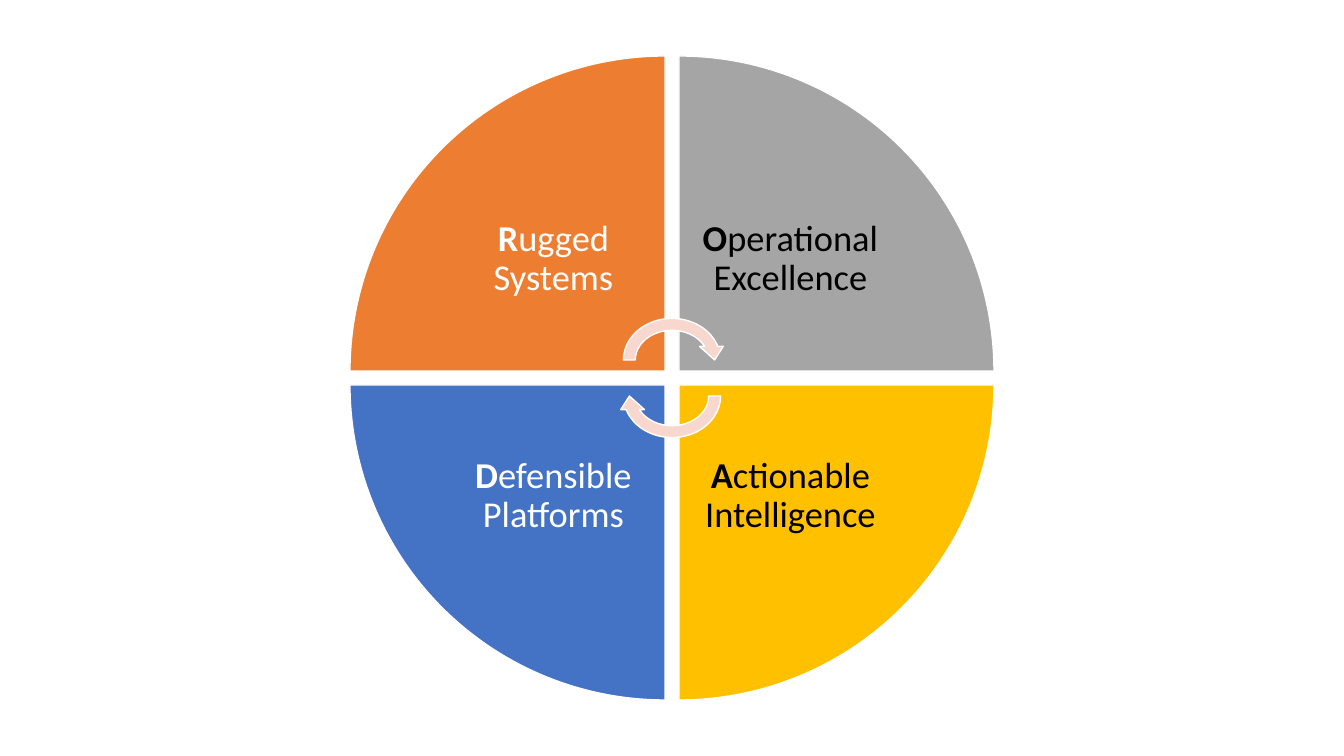
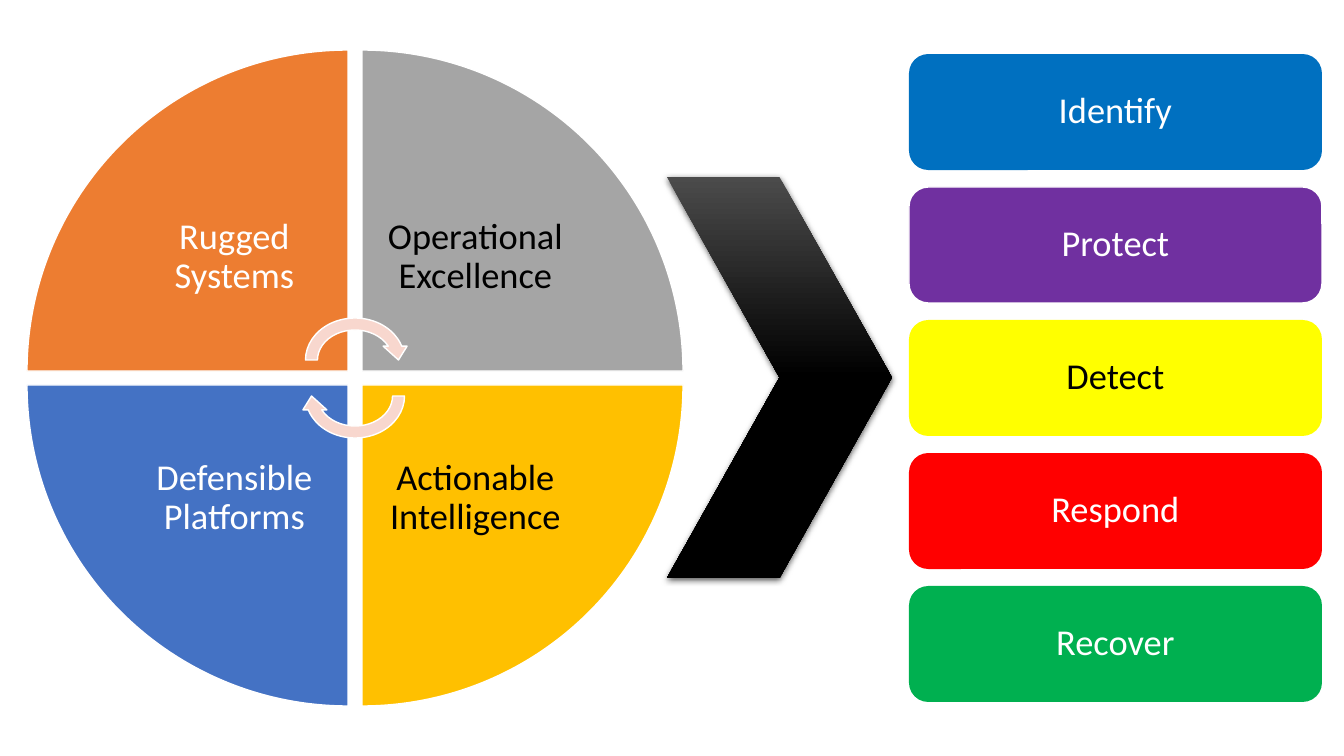
"""Build two slides: the four-part security wheel and the functions it leads to."""
from math import sqrt

from lxml.etree import SubElement
from pptx import Presentation
from pptx.dml.color import RGBColor
from pptx.enum.shapes import MSO_SHAPE
from pptx.enum.text import MSO_ANCHOR, PP_ALIGN
from pptx.oxml.ns import qn
from pptx.util import Pt

SLIDE_WIDTH, SLIDE_HEIGHT = 1344, 756
EMU_PER_PX = 12192000 / SLIDE_WIDTH
WHITE, BLACK, ARROW_COLOR = "FFFFFF", "000000", "F8D7CE"
MIDDLE = 378
HALF_GAP = 7
ARROW_OFFSET = 18
INSET = round(20 * EMU_PER_PX)
FRAME_FORMAT = {
    "word_wrap": True,
    "vertical_anchor": MSO_ANCHOR.MIDDLE,
    "margin_left": INSET,
    "margin_right": INSET,
    "margin_top": INSET,
    "margin_bottom": INSET,
}
PARAGRAPH_FORMAT = {"alignment": PP_ALIGN.CENTER, "line_spacing": 0.9}
FONT_FORMAT = {"name": "Calibri", "size": Pt(26)}

QUADRANTS = [
    ("Rugged Systems", "ED7D31", WHITE, -1, -1, 0),
    ("Operational Excellence", "A5A5A5", BLACK, 1, -1, 90),
    ("Actionable Intelligence", "FFC000", BLACK, 1, 1, 180),
    ("Defensible Platforms", "4472C4", WHITE, -1, 1, 270),
]
WHEELS = [
    {"center": 672, "wedge": 315, "arrow": (109, 95), "bold_initial": True},
    {"center": 355, "wedge": 321, "arrow": (111, 96), "bold_initial": False},
]
FUNCTIONS = [
    ("Identify", "0070C0", WHITE, None),
    ("Protect", "7030A0", WHITE, WHITE),
    ("Detect", "FFFF00", BLACK, None),
    ("Respond", "FF0000", WHITE, None),
    ("Recover", "00B050", WHITE, None),
]


def add_preset(slide, preset, box, fill, outline=None, rotation=0):
    """Add a shadowless preset shape; box holds left, top, width, height in px."""
    shape = slide.shapes.add_shape(preset, *[round(length * EMU_PER_PX) for length in box])
    shape.shadow.inherit = False
    shape.rotation = rotation
    shape.fill.solid()
    shape.fill.fore_color.rgb = RGBColor.from_string(fill)
    if outline:
        shape.line.color.rgb = RGBColor.from_string(outline)
        shape.line.width = Pt(1)
    else:
        shape.line.fill.background()
    return shape


def write_label(shape, pieces, color):
    """Write one centred paragraph made of (text, bold) pieces."""
    frame = shape.text_frame
    paragraph = frame.paragraphs[0]
    for target, values in ((frame, FRAME_FORMAT), (paragraph, PARAGRAPH_FORMAT)):
        for name, value in values.items():
            setattr(target, name, value)
    for text, bold in pieces:
        run = paragraph.add_run()
        run.text = text
        for name, value in FONT_FORMAT.items():
            setattr(run.font, name, value)
        run.font.bold = bold
        run.font.color.rgb = RGBColor.from_string(color)


presentation = Presentation()
presentation.slide_width = round(SLIDE_WIDTH * EMU_PER_PX)
presentation.slide_height = round(SLIDE_HEIGHT * EMU_PER_PX)
blank_layout = presentation.slide_layouts.get_by_name("Blank")

for wheel in WHEELS:
    slide = presentation.slides.add_slide(blank_layout)
    center, wedge = wheel["center"], wheel["wedge"]
    label_size = round(wedge / sqrt(2))
    for text, fill, text_color, side_x, side_y, rotation in QUADRANTS:
        wedge_box, label_box = [
            [
                center + side_x * (HALF_GAP + size / 2) - size / 2,
                MIDDLE + side_y * (HALF_GAP + size / 2) - size / 2,
                size,
                size,
            ]
            for size in (wedge, label_size)
        ]
        add_preset(slide, MSO_SHAPE.PIE_WEDGE, wedge_box, fill, WHITE, rotation)
        label = slide.shapes.add_textbox(*[round(length * EMU_PER_PX) for length in label_box])
        pieces = [(text[0], True), (text[1:], False)] if wheel["bold_initial"] else [(text, False)]
        write_label(label, pieces, text_color)

    arrow_width, arrow_height = wheel["arrow"]
    for side_y, rotation in ((-1, 0), (1, 180)):
        arrow_top = MIDDLE + side_y * ARROW_OFFSET - arrow_height / 2
        arrow_box = (center - arrow_width / 2, arrow_top, arrow_width, arrow_height)
        add_preset(slide, MSO_SHAPE.CIRCULAR_ARROW, arrow_box, ARROW_COLOR, WHITE, rotation)

for index, (text, fill, text_color, outline) in enumerate(FUNCTIONS):
    function_box = (909, 54 + index * 133, 413, 116)
    function = add_preset(slide, MSO_SHAPE.ROUNDED_RECTANGLE, function_box, fill, outline)
    write_label(function, [(text, False)], text_color)

chevron = add_preset(slide, MSO_SHAPE.CHEVRON, (667, 177, 225, 401), BLACK)
chevron.fill.gradient()
chevron.fill.gradient_angle = 270
for stop, position, color in zip(chevron.fill.gradient_stops, (0, 0.5), ("4B4B4B", BLACK)):
    stop.position = position
    stop.color.rgb = RGBColor.from_string(color)
effects = chevron.element.spPr.find(qn("a:effectLst"))
shadow = SubElement(
    effects,
    qn("a:outerShdw"),
    blurRad=str(Pt(4.5)),
    dist=str(Pt(1.5)),
    dir="5400000",
    algn="ctr",
    rotWithShape="0",
)
shadow_color = SubElement(shadow, qn("a:srgbClr"), val=BLACK)
SubElement(shadow_color, qn("a:alpha"), val="63000")

presentation.save("out.pptx")
